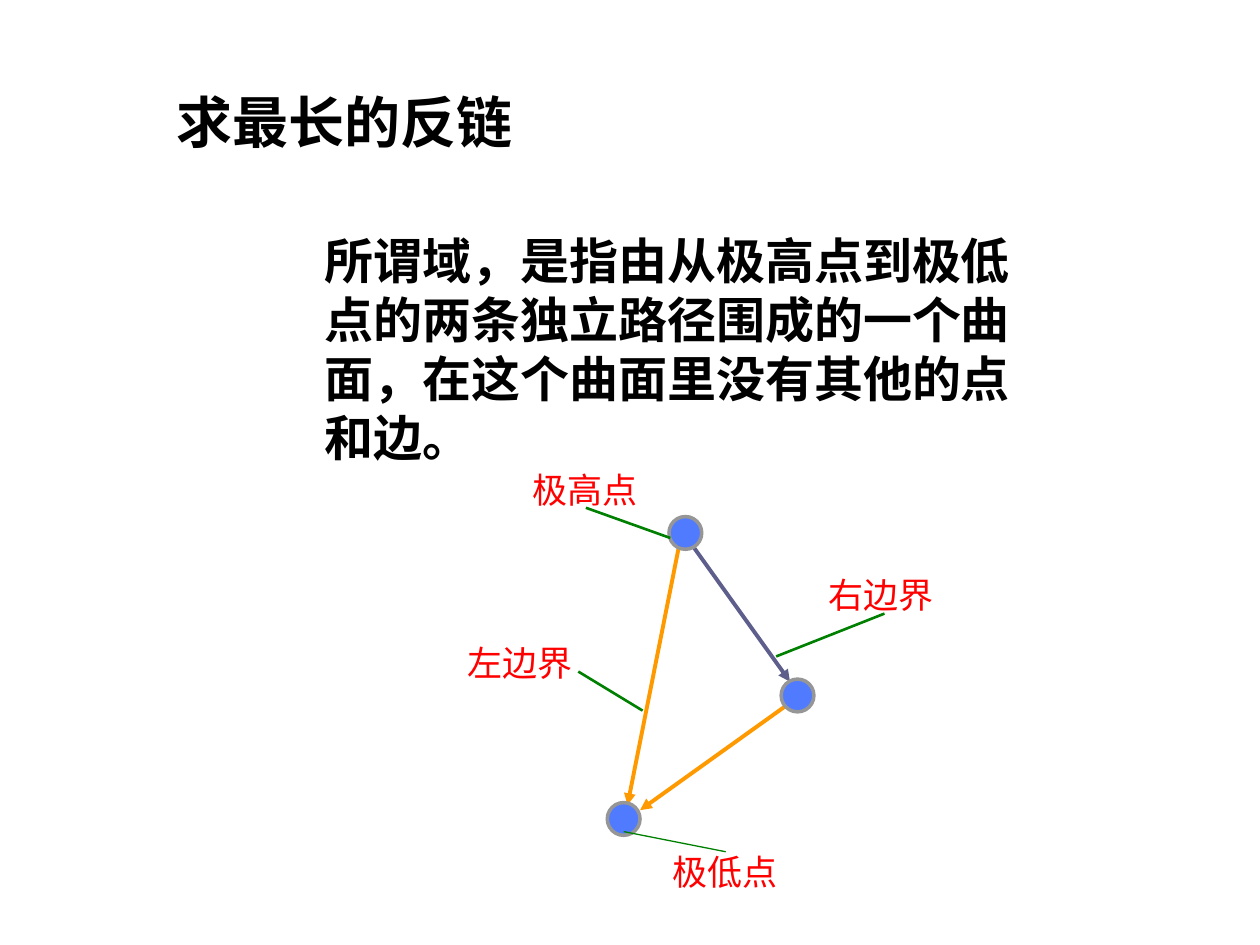
import pptx
import pptx.dml.color
import pptx.enum.shapes
import pptx.enum.text
import pptx.util
from lxml import etree
from pptx.oxml.ns import qn

Inches = pptx.util.Inches
FONT = "Times New Roman"
BLACK, RED, GREEN, ORANGE, PURPLE = "000000", "FF0000", "008000", "FF9900", "5E5E8C"
NODE_FILL, NODE_LINE = "3F6DFF", "969696"
NODE_SIZE = 0.26

TITLE = ("求最长的反链", (1.3, 0.6, 4.63, 0.72), 32, BLACK, True)
BODY = (
    "所谓域，是指由从极高点到极低点的两条独立路径围成的一个曲面，在这个曲面里没有其他的点和边。",
    (2.48, 1.78, 5.75, 1.97), 28, BLACK, True,
)
LABELS = [
    ("极高点", (4.13, 3.67, 1.12, 0.44)),
    ("极低点", (5.24, 6.7, 1.18, 0.44)),
    ("左边界", (3.61, 5.04, 1.12, 0.44)),
    ("右边界", (6.48, 4.5, 1.12, 0.44)),
]
EDGES = [
    ((6.24, 5.6), (5.08, 6.43), ORANGE),
    ((5.51, 4.35), (6.27, 5.41), PURPLE),
    ((5.39, 4.33), (4.98, 6.39), ORANGE),
]
NODE_CENTERS = [(6.33, 5.52), (4.95, 6.5), (5.44, 4.23)]
LEADERS = [
    ((4.65, 4.03), (5.32, 4.27), 1.5),
    ((5.76, 6.76), (4.95, 6.6), 0.75),
    ((4.59, 5.33), (5.1, 5.64), 1.5),
    ((7.02, 4.87), (6.16, 5.21), 1.5),
]


def color(value):
    return pptx.dml.color.RGBColor.from_string(value)


def add_text(page, text, place, size, ink, bold=False):
    box = page.shapes.add_textbox(*map(Inches, place))
    frame = box.text_frame
    frame.word_wrap = True
    frame.vertical_anchor = pptx.enum.text.MSO_ANCHOR.MIDDLE if bold else pptx.enum.text.MSO_ANCHOR.TOP
    span = frame.paragraphs[0].add_run()
    span.text = text
    span.font.name = FONT
    span.font.size = pptx.util.Pt(size)
    span.font.bold = bold
    span.font.color.rgb = color(ink)


def add_line(page, start, end, ink, width, arrow=False):
    line = page.shapes.add_connector(
        pptx.enum.shapes.MSO_CONNECTOR.STRAIGHT, *map(Inches, start + end))
    line.line.color.rgb = color(ink)
    line.line.width = pptx.util.Pt(width)
    if arrow:
        etree.SubElement(line.line._get_or_add_ln(), qn("a:tailEnd"), type="triangle")
    etree.SubElement(line._element.spPr, qn("a:effectLst"))


def add_node(page, center):
    left, top = (value - NODE_SIZE / 2 for value in center)
    node = page.shapes.add_shape(
        pptx.enum.shapes.MSO_SHAPE.OVAL, *map(Inches, (left, top, NODE_SIZE, NODE_SIZE)))
    node.shadow.inherit = False
    node.fill.solid()
    node.fill.fore_color.rgb = color(NODE_FILL)
    fill = node._element.spPr.find(qn("a:solidFill"))
    etree.SubElement(fill[0], qn("a:alpha"), val="90000")
    node.line.color.rgb = color(NODE_LINE)
    node.line.width = pptx.util.Pt(2)


def main():
    deck = pptx.Presentation()
    deck.slide_width, deck.slide_height = Inches(10), Inches(7.5)
    page = deck.slides.add_slide(deck.slide_layouts[6])
    add_text(page, *TITLE)
    add_text(page, *BODY)
    for start, end, ink in EDGES:
        add_line(page, start, end, ink, 2.25, arrow=True)
    for center in NODE_CENTERS:
        add_node(page, center)
    for text, place in LABELS:
        add_text(page, text, place, 20, RED)
    for start, end, width in LEADERS:
        add_line(page, start, end, GREEN, width)
    deck.save("out.pptx")


if __name__ == "__main__":
    main()
